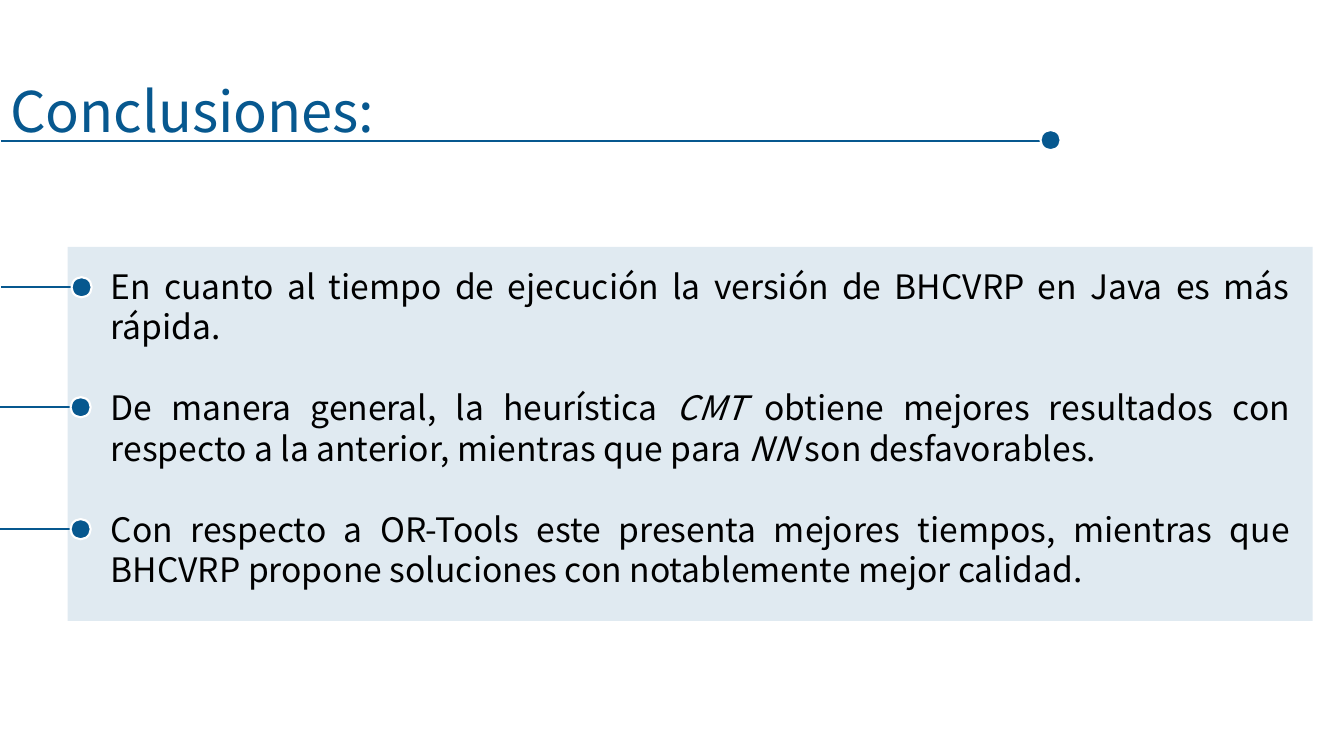
from pptx import Presentation
from pptx.dml.color import RGBColor
from pptx.enum.shapes import MSO_CONNECTOR, MSO_SHAPE
from pptx.enum.text import MSO_ANCHOR, PP_ALIGN
from pptx.oxml.ns import qn
from pptx.util import Inches, Pt
from lxml import etree

FONT = "Noto Sans CJK JP"
BLUE, BLACK, WHITE = "07588F", "000000", "FFFFFF"
DOT = 0.2

# Each conclusion is a list of (text, italic) runs
CONCLUSIONS = [
    [("En cuanto al tiempo de ejecución la versión de BHCVRP en Java es más rápida.", False)],
    [("De manera general, la heurística ", False), ("CMT", True),
     (" obtiene mejores resultados con respecto a la anterior, mientras que para ", False),
     ("NN", True), (" son desfavorables.", False)],
    [("Con respecto a OR-Tools este presenta mejores tiempos, mientras que "
      "BHCVRP propone soluciones con notablemente mejor calidad.", False)],
]
# Marker line start and height, one per conclusion
MARKERS = [(0.01, 2.85), (0, 4.04), (0, 5.25)]


def rgb(color):
    return RGBColor.from_string(color)


def add_run(p, text, size, color, italic=False):
    r = p.add_run()
    r.text = text
    r.font.name = FONT
    r.font.size = Pt(size)
    r.font.italic = italic
    r.font.color.rgb = rgb(color)


def add_title(s, text):
    title = s.shapes.title
    title.left, title.top = Inches(0), Inches(0.71)
    title.width, title.height = Inches(3.82), Inches(0.77)
    tf = title.text_frame
    tf.word_wrap = False
    tf.vertical_anchor = MSO_ANCHOR.TOP
    p = tf.paragraphs[0]
    p.alignment = PP_ALIGN.LEFT
    add_run(p, text, 40, BLUE)


def add_panel(s, left, top, width, height):
    sp = s.shapes.add_shape(MSO_SHAPE.RECTANGLE, Inches(left), Inches(top),
                            Inches(width), Inches(height))
    sp.shadow.inherit = False
    sp.fill.solid()
    sp.fill.fore_color.rgb = rgb(BLUE)
    color = sp.fill._xPr.find(qn("a:solidFill"))[0]
    etree.SubElement(color, qn("a:alpha"), val="12000")
    sp.line.fill.background()


def add_dotted_line(s, x1, x2, y, dot_left, dot_top):
    line = s.shapes.add_connector(MSO_CONNECTOR.STRAIGHT, Inches(x1), Inches(y),
                                  Inches(x2), Inches(y))
    line.line.color.rgb = rgb(BLUE)
    line.line.width = Pt(1.5)
    etree.SubElement(line._element.spPr, qn("a:effectLst"))
    dot = s.shapes.add_shape(MSO_SHAPE.OVAL, Inches(dot_left), Inches(dot_top),
                             Inches(DOT), Inches(DOT))
    dot.shadow.inherit = False
    dot.fill.solid()
    dot.fill.fore_color.rgb = rgb(BLUE)
    dot.line.color.rgb = rgb(WHITE)
    dot.line.width = Pt(1.5)


def add_conclusions(s, left, top, width, height):
    box = s.shapes.add_textbox(Inches(left), Inches(top), Inches(width), Inches(height))
    tf = box.text_frame
    tf.word_wrap = True
    for i, runs in enumerate(CONCLUSIONS):
        p = tf.paragraphs[0] if i == 0 else tf.add_paragraph()
        p.alignment = PP_ALIGN.JUSTIFY
        if i:
            p.space_before = Pt(29)
        for text, italic in runs:
            add_run(p, text, 24, BLACK, italic)


def main():
    prs = Presentation()
    prs.slide_width, prs.slide_height = Inches(13.33), Inches(7.5)
    s = prs.slides.add_slide(prs.slide_layouts[5])

    # Background panel
    add_panel(s, 0.67, 2.45, 12.35, 3.71)

    # Title and its underline
    add_title(s, "Conclusiones:")
    add_dotted_line(s, 0.01, 10.41, 1.4, 10.32, 1.29)

    # Conclusions and their markers
    add_conclusions(s, 1, 2.59, 11.89, 4.14)
    for x, y in MARKERS:
        add_dotted_line(s, x, x + 0.78, y, x + 0.7, y - DOT / 2)

    prs.save("out.pptx")


if __name__ == "__main__":
    main()
